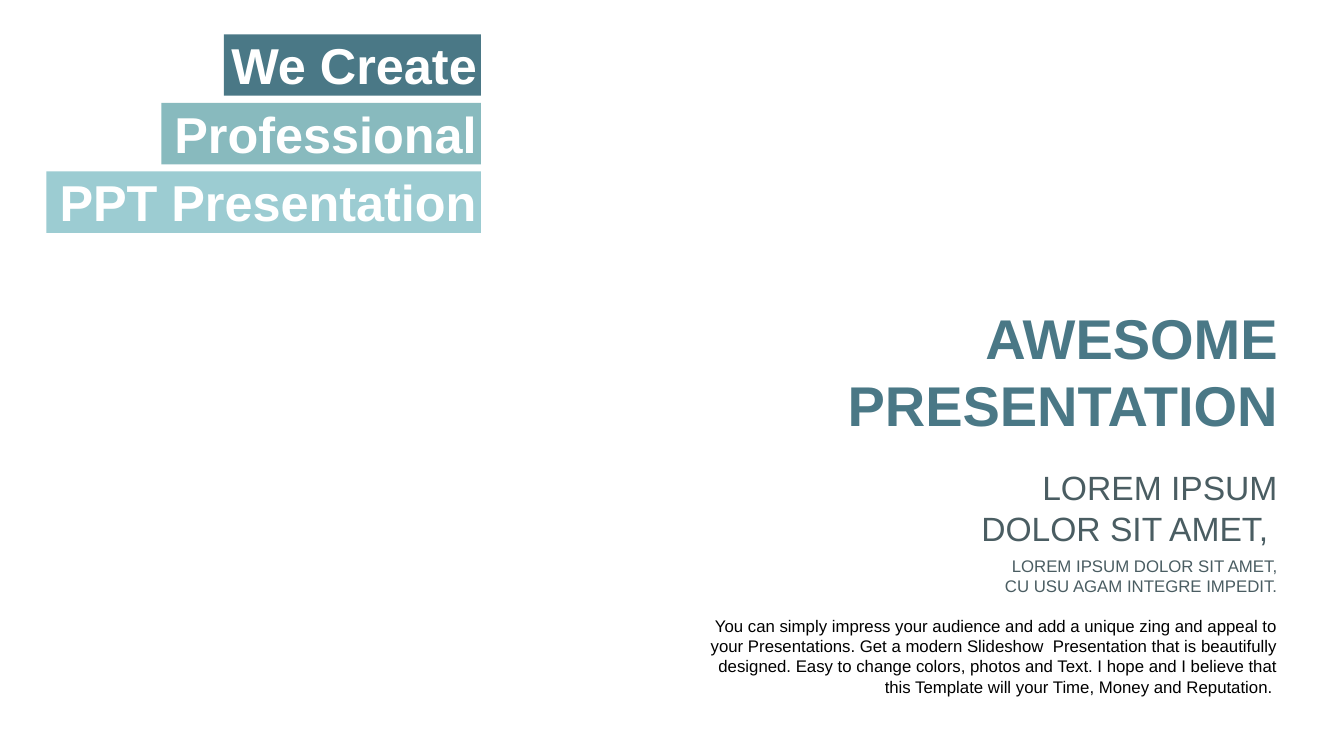
from dataclasses import dataclass

from pptx import Presentation
from pptx.dml.color import RGBColor
from pptx.enum.shapes import MSO_SHAPE
from pptx.enum.text import MSO_ANCHOR, MSO_AUTO_SIZE, PP_ALIGN
from pptx.util import Inches, Pt

RECTANGLE = MSO_SHAPE.RECTANGLE
TOP = MSO_ANCHOR.TOP
MIDDLE = MSO_ANCHOR.MIDDLE
RIGHT = PP_ALIGN.RIGHT
GROW = MSO_AUTO_SIZE.SHAPE_TO_FIT_TEXT


@dataclass(frozen=True)
class Theme:
    font: str = "Arial"
    teal: str = "4A7886"
    sage: str = "88BABE"
    aqua: str = "9CCCD2"
    slate: str = "4A5D62"
    white: str = "FFFFFF"
    black: str = "000000"
    title_size: int = 40
    banner_size: int = 36
    subtitle_size: int = 24
    body_size: int = 12


THEME = Theme()


def write_text(shape, lines, *, size, color, bold=False, anchor=TOP, margins=(0.1, 0.05)):
    frame = shape.text_frame
    frame.word_wrap = True
    frame.auto_size = GROW
    frame.vertical_anchor = anchor
    frame.margin_left = frame.margin_right = Inches(margins[0])
    frame.margin_top = frame.margin_bottom = Inches(margins[1])
    for index, line in enumerate(lines):
        paragraph = frame.paragraphs[0] if index == 0 else frame.add_paragraph()
        paragraph.alignment = RIGHT
        run = paragraph.add_run()
        run.text = line
        run.font.name = THEME.font
        run.font.size = Pt(size)
        run.font.bold = bold
        run.font.color.rgb = RGBColor.from_string(color)


def add_banners(slide, right, top):
    height, pitch = 0.61, 0.68
    banners = [
        ("We Create", 2.55, THEME.teal),
        ("Professional ", 3.17, THEME.sage),
        ("PPT Presentation", 4.31, THEME.aqua),
    ]
    for row, (text, width, color) in enumerate(banners):
        banner = slide.shapes.add_shape(
            RECTANGLE, Inches(right - width), Inches(top + row * pitch),
            Inches(width), Inches(height))
        banner.shadow.inherit = False
        banner.fill.solid()
        banner.fill.fore_color.rgb = RGBColor.from_string(color)
        banner.line.fill.background()
        write_text(banner, [text], size=THEME.banner_size, color=THEME.white,
                   bold=True, margins=(0.04, 0))


def add_message(slide, right, top):
    title = dict(size=THEME.title_size, color=THEME.teal, bold=True, anchor=MIDDLE)
    subtitle = dict(size=THEME.subtitle_size, color=THEME.slate, anchor=MIDDLE)
    caption = dict(size=THEME.body_size, color=THEME.slate, anchor=MIDDLE)
    body = dict(size=THEME.body_size, color=THEME.black)
    blocks = [
        (0, 4.65, 1.45, ["AWESOME", "PRESENTATION"], title),
        (1.63, 4.06, 0.91, ["LOREM IPSUM", "DOLOR SIT AMET, "], subtitle),
        (2.51, 4.06, 0.5,
         ["LOREM IPSUM DOLOR SIT AMET,", "CU USU AGAM INTEGRE IMPEDIT."], caption),
        (3.11, 5.99, 0.91,
         ["You can simply impress your audience and add a unique zing and appeal to "
          "your Presentations. Get a modern Slideshow  Presentation that is beautifully "
          "designed. Easy to change colors, photos and Text. I hope and I believe that "
          "this Template will your Time, Money and Reputation. "], body),
    ]
    for offset, width, height, lines, style in blocks:
        box = slide.shapes.add_textbox(
            Inches(right - width), Inches(top + offset), Inches(width), Inches(height))
        write_text(box, lines, **style)


def main():
    presentation = Presentation()
    presentation.slide_width = Inches(13.33)
    presentation.slide_height = Inches(7.5)
    slide = presentation.slides.add_slide(presentation.slide_layouts[6])
    add_banners(slide, right=4.77, top=0.34)
    add_message(slide, right=12.77, top=2.95)
    presentation.save("out.pptx")


if __name__ == "__main__":
    main()
